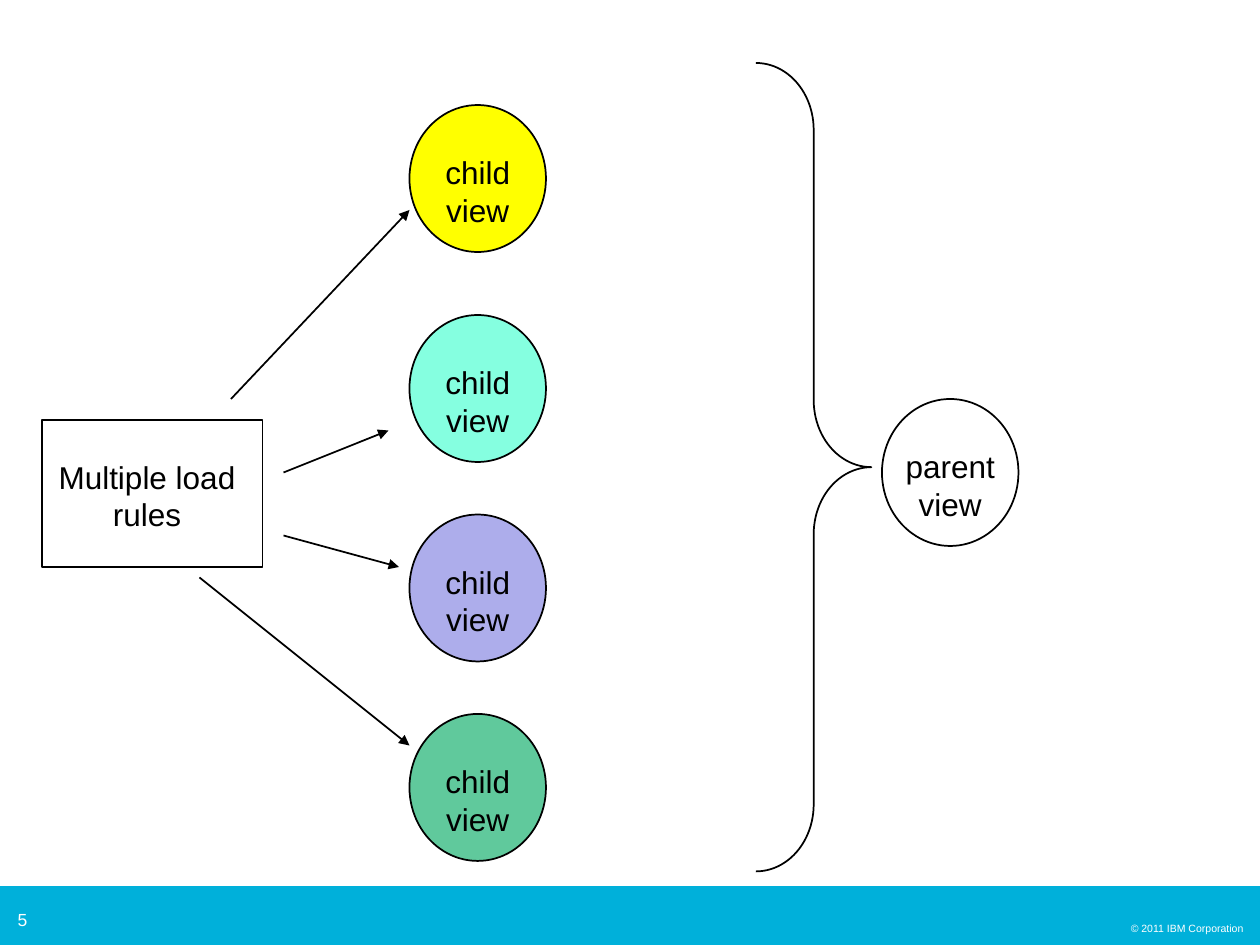
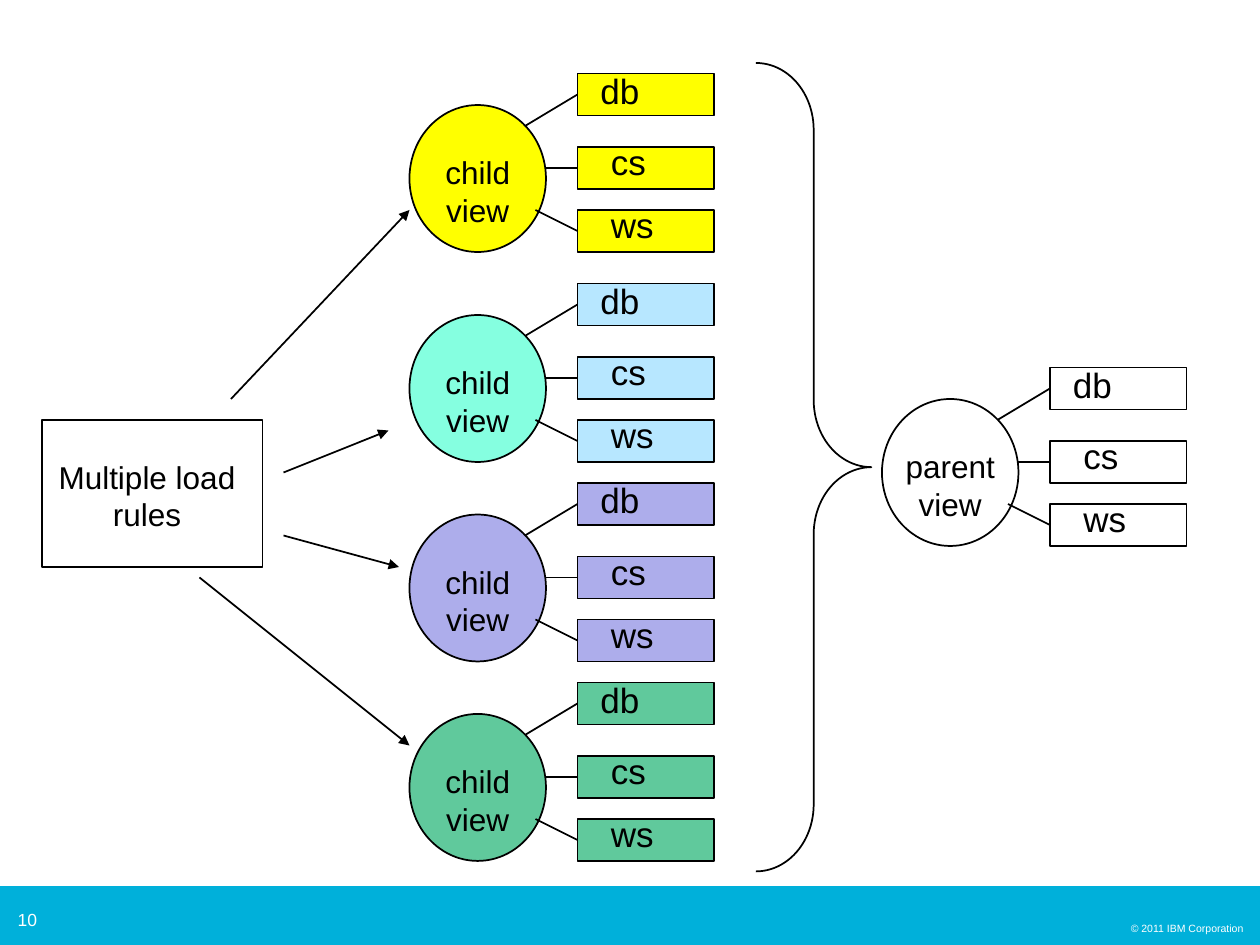
from pptx import Presentation
from pptx import util as u
from pptx.dml.color import RGBColor
from pptx.enum import shapes, text
from pptx.oxml.ns import qn
from lxml import etree

CELL = u.Inches(1) // 12  # the slide is a grid of 120 columns by 90 rows
COLS, ROWS = 120, 90
HUES = {
    "ink": "000000", "band": "00B0DA", "pale": "FFFFFF",
    "yellow": "FFFF00", "aqua": "85FFE0", "sky": "B7E7FF",
    "lilac": "ADADEB", "green": "60C99C",
}
FONT = "Arial"
DISK = (13, 14)
KINDS = shapes.MSO_SHAPE
ALIGN = text.PP_ALIGN

# Top row, disk colour and tag colour of each child view
CHILDREN = [
    (10, "yellow", "yellow"),
    (30, "aqua", "sky"),
    (49, "lilac", "lilac"),
    (68, "green", "green"),
]
# Start and end of each arrow from the load rules
ARROWS = [
    ((22, 38), (39, 20)),
    ((27, 45), (37, 41)),
    ((27, 51), (38, 54)),
    ((19, 55), (39, 71)),
]
# Word, row of the tag, place of its label, start of its line; all from the disk's corner
TAGS = [
    ("db", -3, (17, -4), (11, 2)),
    ("cs", 4, (18, 2.8), (13, 6)),
    ("ws", 10, (18, 8.8), (12, 10)),
]


def grid(*cells):
    return [u.Emu(round(cell * CELL)) for cell in cells]


def hue(name):
    return RGBColor.from_string(HUES[name])


def add_form(host, kind, box, fill=None, line="ink"):
    form = host.shapes.add_shape(kind, *grid(*box))
    form.shadow.inherit = False
    if fill:
        form.fill.solid()
        form.fill.fore_color.rgb = hue(fill)
    else:
        form.fill.background()
    if line:
        form.line.color.rgb = hue(line)
        form.line.width = u.Pt(1)
    else:
        form.line.fill.background()
    return form


def add_label(host, words, box, size=18, align=ALIGN.CENTER, ink="ink"):
    frame = host.shapes.add_textbox(*grid(*box)).text_frame
    frame.word_wrap = True
    para = frame.paragraphs[0]
    para.text = words
    para.alignment = align
    para.font.name = FONT
    para.font.size = u.Pt(size)
    para.font.color.rgb = hue(ink)


def add_line(host, start, end, arrow=False):
    line = host.shapes.add_connector(
        shapes.MSO_CONNECTOR.STRAIGHT, *grid(*start, *end))
    line.line.color.rgb = hue("ink")
    line.line.width = u.Pt(1)
    props = line.element.spPr
    if arrow:
        etree.SubElement(props.find(qn("a:ln")), qn("a:tailEnd"), type="triangle")
    etree.SubElement(props, qn("a:effectLst"))
    return line


def add_view(slide, words, left, top, fill=None, tint=None, tagged=False):
    """Draw a disk with its name and, if tagged, its three tags."""
    group = slide.shapes.add_group_shape()
    add_form(group, KINDS.OVAL, (left, top, *DISK), fill)
    add_label(group, words, (left, top + 4, DISK[0], 8.4))
    if not tagged:
        return
    for word, row, (col, drop), (dx, dy) in TAGS:
        tag = add_form(group, KINDS.RECTANGLE, (left + 16, top + row, 13, 4), tint)
        add_label(group, word, (left + col, top + drop, 9, 5.3), 20, ALIGN.LEFT)
        line = add_line(group, (left + dx, top + dy), (left + 16, top + row + 2))
        line.end_connect(tag, 1)


def add_footer(slide, number):
    add_form(slide, KINDS.RECTANGLE, (0, 84.4, COLS, 5.6), "band", None)
    add_label(slide, str(number), (0.5, 86, 5.6, 3.2), 10, ALIGN.LEFT, "pale")
    add_label(slide, "© 2011 IBM Corporation", (101.6, 87.2, 18, 2.4),
              6, ALIGN.RIGHT, "pale")


def add_page(deck, number, tagged):
    slide = deck.slides.add_slide(deck.slide_layouts[6])
    add_footer(slide, number)
    add_form(slide, KINDS.RECTANGLE, (4, 40, 21, 14))
    add_label(slide, "Multiple load rules", (4, 43, 20, 8.4))
    for start, end in ARROWS:
        add_line(slide, start, end, arrow=True)
    brace = add_form(slide, KINDS.RIGHT_BRACE, (72, 6, 11, 77))
    brace.adjustments[0] = 0.58
    for top, fill, tint in CHILDREN:
        add_view(slide, "child view", 39, top, fill, tint, tagged)
    add_view(slide, "parent view", 84, 38, tagged=tagged)


def main():
    deck = Presentation()
    deck.slide_width, deck.slide_height = grid(COLS, ROWS)
    add_page(deck, 5, tagged=False)
    add_page(deck, 10, tagged=True)
    deck.save("out.pptx")


if __name__ == "__main__":
    main()
